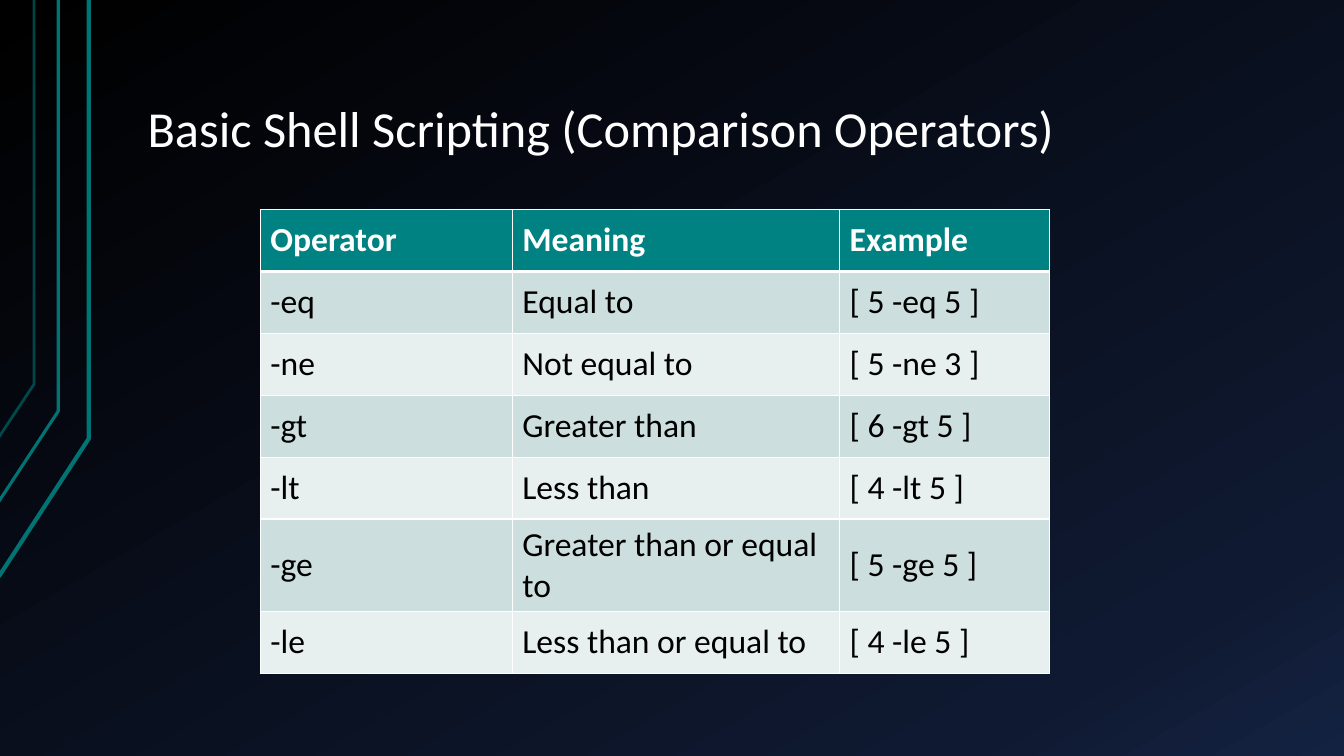
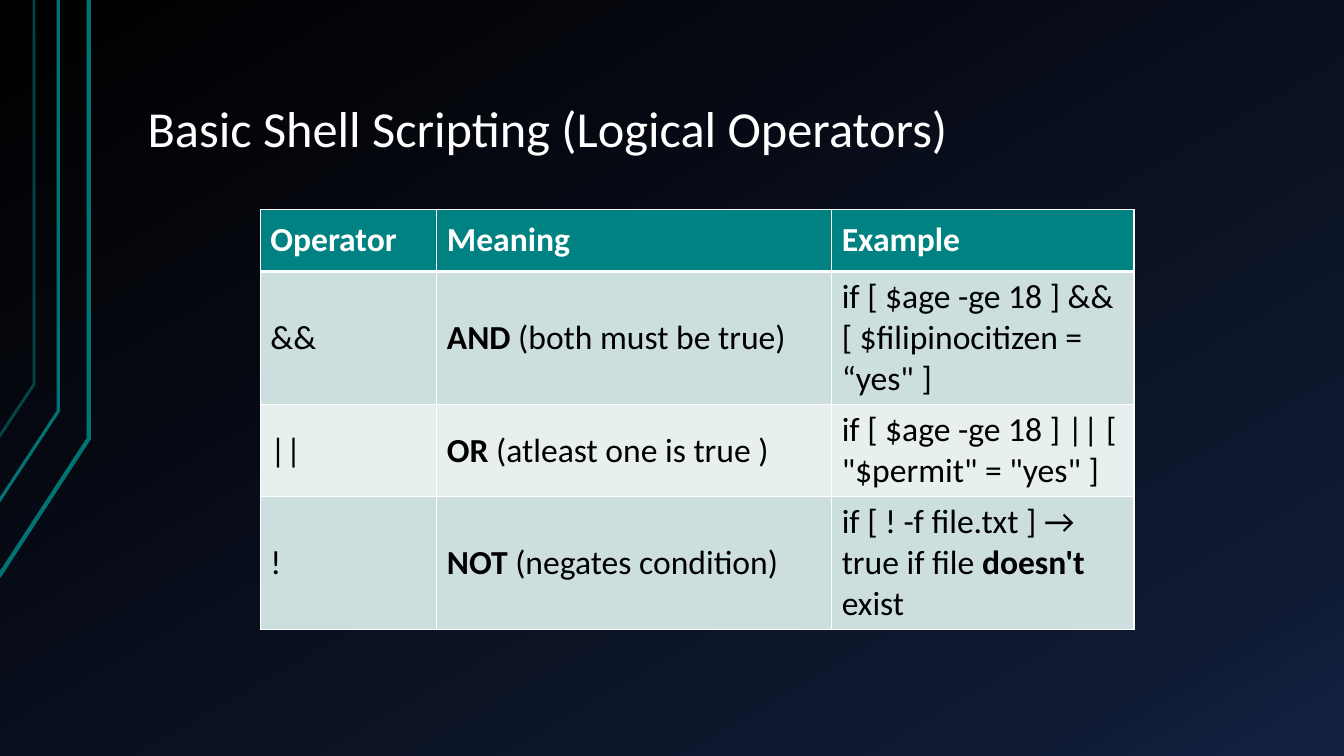
import copy
import lxml.etree
import pptx
import pptx.util
import pptx.dml.color
import pptx.enum.text
import pptx.oxml.ns

Cm, Pt = pptx.util.Cm, pptx.util.Pt
RGB = pptx.dml.color.RGBColor
ANCHOR = pptx.enum.text.MSO_ANCHOR
qn = pptx.oxml.ns.qn

# Content: **marks** set bold text
HEAD = ("Operator", "Meaning", "Example")
PAGES = [
    {
        "title": "Basic Shell Scripting (Comparison Operators)",
        "widths": (6.35, 8.25, 5.28),
        "rows": [
            ("-eq", "Equal to", "[ 5 -eq 5 ]"),
            ("-ne", "Not equal to", "[ 5 -ne 3 ]"),
            ("-gt", "Greater than", "[ 6 -gt 5 ]"),
            ("-lt", "Less than", "[ 4 -lt 5 ]"),
            ("-ge", "Greater than or equal to", "[ 5 -ge 5 ]"),
            ("-le", "Less than or equal to", "[ 4 -le 5 ]"),
        ],
    },
    {
        "title": "Basic Shell Scripting (Logical Operators)",
        "widths": (4.45, 9.95, 7.62),
        "rows": [
            ("&&", "**AND** (both must be true)",
             'if [ $age -ge 18 ] && [ $filipinocitizen = “yes" ]'),
            ("||", "**OR** (atleast one is true )",
             'if [ $age -ge 18 ] || [ "$permit" = "yes" ]'),
            ("!", "**NOT** (negates condition)",
             "if [ ! -f file.txt ] → true if file **doesn't** exist"),
        ],
    },
]

# Shared look
FONT = "Calibri"
WHITE, BLACK = RGB(255, 255, 255), RGB(0, 0, 0)
TEAL, EDGE = RGB(0x00, 0x82, 0x82), RGB(0x00, 0x73, 0x73)
BANDS = (RGB(0xCC, 0xDE, 0xDE), RGB(0xE7, 0xEF, 0xEF))
STOPS = [(0, BLACK), (0.85, RGB(0x0F, 0x19, 0x31)), (1, RGB(0x14, 0x22, 0x42))]
# Corner lines: width in points, opacity in percent, points in cm
LINES = [
    (3, 100, [(-0.03, 14.53), (2.24, 11.05), (2.24, 0)]),
    (2.25, 100, [(-0.05, 12.67), (1.47, 10.36), (1.47, 0)]),
    (2, 60, [(-0.03, 11.02), (0.86, 9.68), (0.86, 0)]),
]
LEFT, TOP, ROW = 6.56, 5.28, 1.56


def write(frame, text, size=24, color=BLACK, bold=False, space=None):
    para = frame.paragraphs[0]
    para.line_spacing = space
    for num, part in enumerate(text.split("**")):
        if part:
            run = para.add_run()
            run.text = part
            run.font.name, run.font.size = FONT, Pt(size)
            run.font.color.rgb = color
            run.font.bold = bold or num % 2 == 1


def paint(master):
    fill = master.background.fill
    fill.gradient()
    fill.gradient_angle = 300
    stops = master.element.xpath(".//p:bg//a:gsLst")[0]
    stops.append(copy.deepcopy(stops[0]))
    for stop, (place, color) in zip(fill.gradient_stops, STOPS):
        stop.position, stop.color.rgb = place, color


def trace(slide, layout):
    """Draw the corner lines, then hand them to the layout."""
    for num, (width, alpha, dots) in enumerate(LINES):
        dots = [(Cm(x), Cm(y)) for x, y in dots]
        path = slide.shapes.build_freeform(*dots[0])
        path.add_line_segments(dots[1:], close=False)
        line = path.convert_to_shape()
        line.shadow.inherit = False
        line.fill.background()
        line.line.width = Pt(width)
        line.line.color.rgb = EDGE
        if alpha < 100:
            tint = line.element.xpath(".//a:ln//a:srgbClr")[0]
            lxml.etree.SubElement(tint, qn("a:alpha")).set("val", str(alpha * 1000))
        line.element.xpath("./p:nvSpPr/p:cNvPr")[0].set("id", str(20 + num))
        layout.shapes.element.append(line.element)


def place(title):
    title.left, title.top = Cm(3.38), Cm(0.76)
    title.width, title.height = Cm(28.78), Cm(3.4)
    frame = title.text_frame
    frame.auto_size = pptx.enum.text.MSO_AUTO_SIZE.NONE
    frame.vertical_anchor = ANCHOR.BOTTOM
    frame.margin_left = frame.margin_right = Cm(0.34)
    frame.margin_top = frame.margin_bottom = Cm(0.17)


def border(cell, **widths):
    props = cell._tc.get_or_add_tcPr()
    for side in "LRTB":
        line = lxml.etree.SubElement(props, qn("a:ln" + side))
        line.set("w", str(Pt(widths.get(side, 1))))
        fill = lxml.etree.SubElement(line, qn("a:solidFill"))
        lxml.etree.SubElement(fill, qn("a:srgbClr")).set("val", str(WHITE))


def grid(slide, rows, widths):
    rows = [HEAD] + rows
    table = slide.shapes.add_table(
        len(rows), len(HEAD), Cm(LEFT), Cm(TOP),
        Cm(sum(widths)), Cm(ROW * len(rows))).table
    table.horz_banding = False
    for col, width in zip(table.columns, widths):
        col.width = Cm(width)
    for num, row in enumerate(rows):
        for cell, text in zip(table.rows[num].cells, row):
            top = num == 0
            border(cell, B=3 if top else 1, T=3 if num == 1 else 1)
            cell.fill.solid()
            cell.fill.fore_color.rgb = TEAL if top else BANDS[(num - 1) % 2]
            cell.vertical_anchor = ANCHOR.MIDDLE
            write(cell.text_frame, text, color=WHITE if top else BLACK, bold=top)


def main():
    deck = pptx.Presentation()
    deck.slide_width, deck.slide_height = Cm(33.87), Cm(19.05)
    layout = deck.slide_layouts.get_by_name("Title Only")
    paint(deck.slide_master)
    place(layout.placeholders[0])
    for num, page in enumerate(PAGES):
        slide = deck.slides.add_slide(layout)
        if num == 0:
            trace(slide, layout)
        title = slide.shapes.title
        place(title)
        write(title.text_frame, page["title"], size=36, color=WHITE, space=0.9)
        title.text_frame.paragraphs[0].alignment = pptx.enum.text.PP_ALIGN.LEFT
        grid(slide, page["rows"], page["widths"])
    deck.save("out.pptx")


if __name__ == "__main__":
    main()
